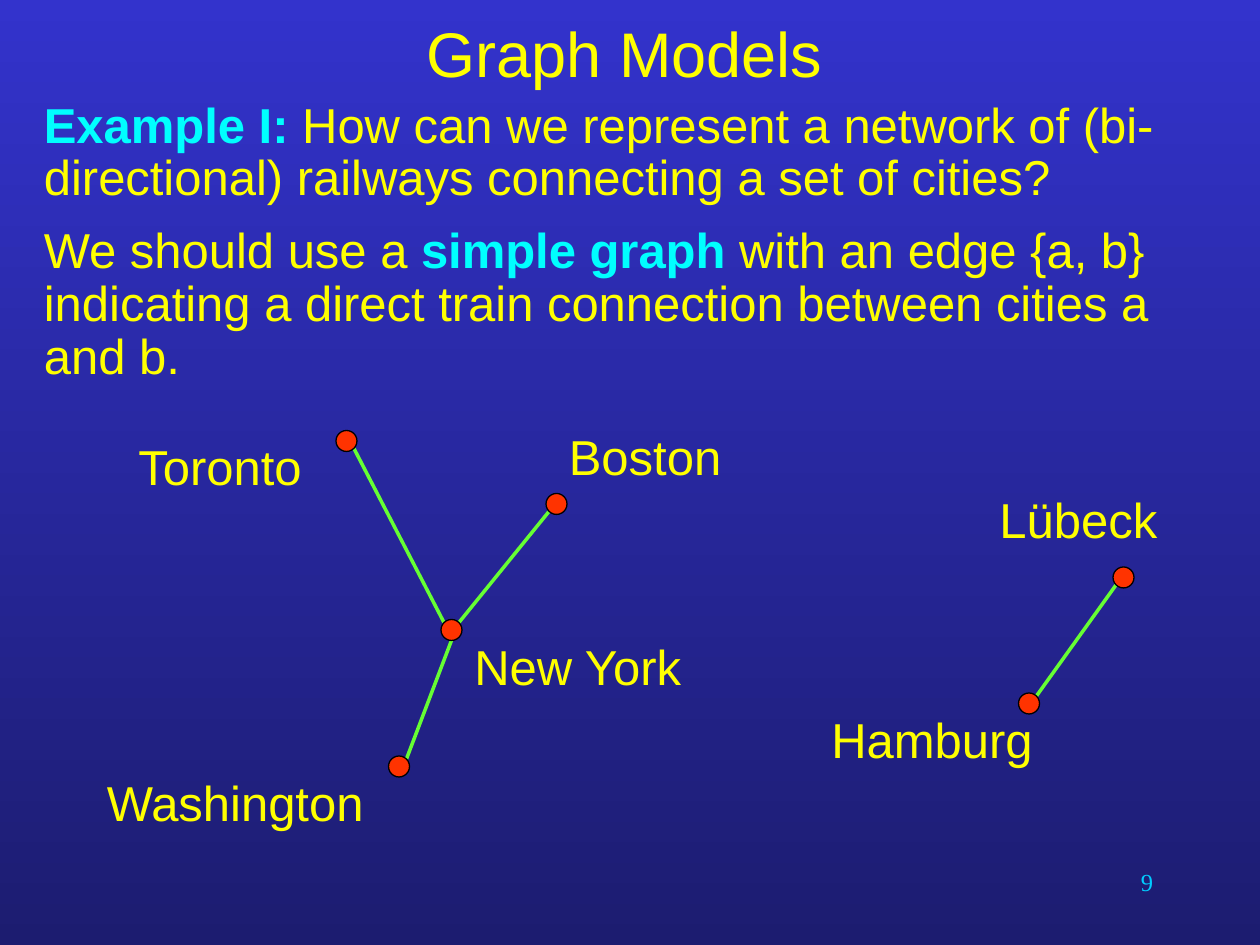
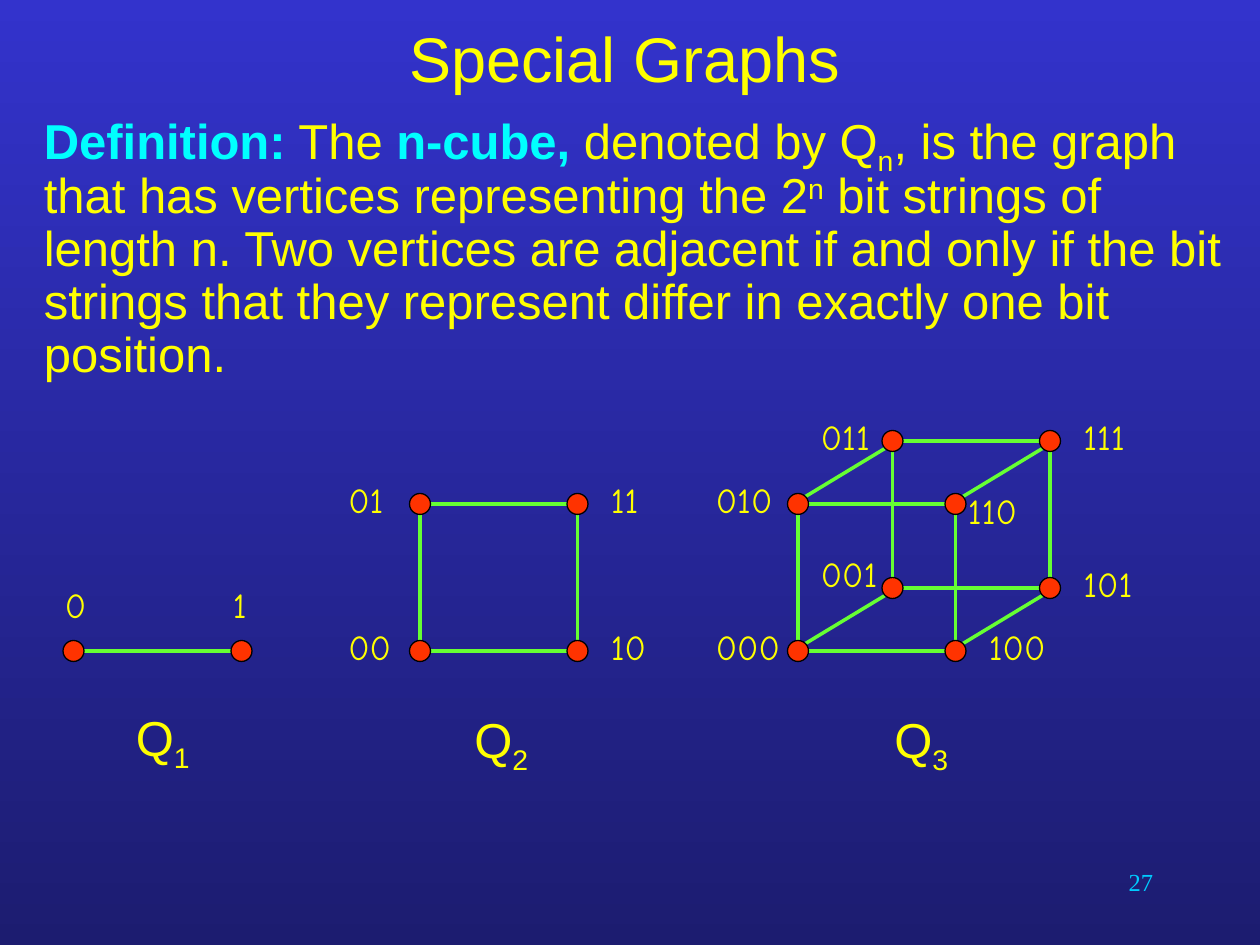
"""Build two slides on graph models: a railway network and the n-cubes."""
from dataclasses import dataclass
from itertools import combinations
from math import atan2, cos, pi, radians, sin

from lxml.etree import SubElement
from pptx import Presentation
from pptx.dml.color import RGBColor
from pptx.enum.shapes import MSO_CONNECTOR as Connector, MSO_SHAPE as Preset
from pptx.enum.text import MSO_ANCHOR as Anchor, PP_ALIGN as Align
from pptx.oxml.ns import qn
from pptx.util import Inches, Pt


@dataclass(frozen=True)
class Theme:
    sky: str = "3333CC"
    night: str = "1C1C70"
    text: str = "FFFF00"
    key: str = "00FFFF"
    number: str = "00CCFF"
    dot: str = "FF3300"
    outline: str = "000000"
    edge: str = "66FF33"
    font: str = "Arial"
    bit_font: str = "Comic Neue"
    number_font: str = "Times New Roman"
    title_size: float = 36
    body_size: float = 28
    bit_size: float = 20
    number_size: float = 14
    paragraph_gap: float = 11.2
    edge_width: float = 2
    outline_width: float = 0.75


THEME = Theme()
WIDTH, HEIGHT = Inches(10), Inches(7.5)
COLUMNS = 120
CELL = WIDTH / COLUMNS
RADIUS = 1
BASELINES = {"sub": "-25000", "super": "30000"}

SLIDES = [
    {
        "title": "Graph Models",
        "number": "9",
        "title_rows": 10,
        "body_row": 9,
        "body": [
            [("Example I: ", "key"),
             ("How can we represent a network of (bi-directional) railways "
              "connecting a set of cities?", "")],
            [("We should use a ", ""), ("simple graph", "key"),
             (" with an edge {a, b} indicating a direct train connection "
              "between cities a and b.", "")],
        ],
    },
    {
        "title": "Special Graphs",
        "number": "27",
        "title_rows": 11,
        "body_row": 10,
        "body": [
            [("Definition:", "key"), (" The ", ""), ("n-cube, ", "key"),
             ("denoted by Q", ""), ("n", "sub"),
             (", is the graph that has vertices representing the 2", ""),
             ("n", "super"),
             (" bit strings of length n. Two vertices are adjacent if and only "
              "if the bit strings that they represent differ in exactly one "
              "bit position.", "")],
        ],
    },
]

CITIES = {
    "Toronto": ((33, 42), (12, 41, 27)),
    "Boston": ((53, 48), (53, 40, 21)),
    "New York": ((43, 60), (44, 60, 25)),
    "Washington": ((38, 73), (9, 73, 38)),
    "Lübeck": ((107, 55), (94, 46, 26)),
    "Hamburg": ((98, 67), (78, 67, 24)),
}
RAILWAYS = [("Toronto", "New York"), ("New York", "Boston"),
            ("New York", "Washington"), ("Hamburg", "Lübeck")]
FIXED_ENDS = {("New York", "Washington"): (90, -45)}

LEFT_LABEL, RIGHT_LABEL = (-8, -3), (2, -3)
CUBES = [
    {"origin": (7, 62), "axes": [(16, 0)], "caption": (11.75, 66.75),
     "labels": {"0": (-2, -7), "1": (-2, -7)}},
    {"origin": (40, 62), "axes": [(15, 0), (0, -14)], "caption": (44, 67),
     "labels": {"00": LEFT_LABEL, "10": RIGHT_LABEL,
                "01": LEFT_LABEL, "11": RIGHT_LABEL}},
    {"origin": (76, 62), "axes": [(15, 0), (0, -14), (9, -6)], "caption": (84, 67),
     "labels": {"000": (-9, -3), "100": RIGHT_LABEL, "010": (-9, -3), "110": (0, -2),
                "001": (-8, -4), "101": RIGHT_LABEL,
                "011": LEFT_LABEL, "111": RIGHT_LABEL}},
]


def cells(*values):
    return [round(value * CELL) for value in values]


def color(value):
    return RGBColor.from_string(value)


def add_text(shapes, box, paragraphs, size=THEME.body_size, font=THEME.font,
             ink=THEME.text, align=Align.LEFT, anchor=Anchor.TOP):
    text_frame = shapes.add_textbox(*cells(*box)).text_frame
    text_frame.word_wrap = True
    text_frame.vertical_anchor = anchor
    for index, runs in enumerate(paragraphs):
        paragraph = text_frame.add_paragraph() if index else text_frame.paragraphs[0]
        paragraph.alignment = align
        for text, style in runs:
            run = paragraph.add_run()
            run.text = text
            run.font.size, run.font.name = Pt(size), font
            run.font.bold = style == "key"
            run.font.color.rgb = color(THEME.key if style == "key" else ink)
            if style in BASELINES:
                run._r.get_or_add_rPr().set("baseline", BASELINES[style])
    return text_frame


def add_dot(shapes, center):
    x, y = center
    dot = shapes.add_shape(Preset.FLOWCHART_CONNECTOR,
                           *cells(x - RADIUS, y - RADIUS, 2 * RADIUS, 2 * RADIUS))
    dot.shadow.inherit = False
    dot.fill.solid()
    dot.fill.fore_color.rgb = color(THEME.dot)
    dot.line.color.rgb = color(THEME.outline)
    dot.line.width = Pt(THEME.outline_width)


def rim_point(center, target, fixed_angle=None):
    """Return the rim point, on one of eight directions, that faces the target."""
    if fixed_angle is None:
        angle = atan2(target[1] - center[1], target[0] - center[0])
        angle = round(angle / (pi / 4)) * pi / 4
    else:
        angle = radians(fixed_angle)
    return center[0] + RADIUS * cos(angle), center[1] + RADIUS * sin(angle)


def add_edge(shapes, start, end, angles=(None, None)):
    ends = rim_point(start, end, angles[0]) + rim_point(end, start, angles[1])
    edge = shapes.add_connector(Connector.STRAIGHT, *cells(*ends))
    edge.line.color.rgb = color(THEME.edge)
    edge.line.width = Pt(THEME.edge_width)
    SubElement(edge._element.spPr, qn("a:effectLst"))


def add_base(presentation, content):
    slide = presentation.slides.add_slide(presentation.slide_layouts[6])
    fill = slide.background.fill
    fill.gradient()
    fill.gradient_angle = 270
    for stop, shade, position in zip(fill.gradient_stops, (THEME.sky, THEME.night), (0, 1)):
        stop.color.rgb, stop.position = color(shade), position
    add_text(slide.shapes, (86, 82, 25, 6), [[(content["number"], "")]],
             THEME.number_size, THEME.number_font, THEME.number, Align.RIGHT)
    add_text(slide.shapes, (3, 0, 113, content["title_rows"]), [[(content["title"], "")]],
             THEME.title_size, align=Align.CENTER, anchor=Anchor.MIDDLE)
    body = add_text(slide.shapes, (3, content["body_row"], 115, 29), content["body"])
    for paragraph in body.paragraphs:
        paragraph.line_spacing = 0.9
        paragraph.space_after = Pt(THEME.paragraph_gap)
    return slide


def draw_railways(slide):
    shapes = slide.shapes.add_group_shape().shapes
    for pair in RAILWAYS:
        start, end = (CITIES[city][0] for city in pair)
        add_edge(shapes, start, end, FIXED_ENDS.get(pair, (None, None)))
    for city, (center, (column, row, width)) in CITIES.items():
        add_dot(shapes, center)
        add_text(shapes, (column, row, width, 6.8), [[(city, "")]])


def draw_cube(slide, cube):
    shapes = slide.shapes.add_group_shape().shapes
    centers = {
        bits: tuple(cube["origin"][side] + sum(int(bit) * axis[side]
                    for bit, axis in zip(bits, cube["axes"])) for side in (0, 1))
        for bits in cube["labels"]
    }
    for first, second in combinations(centers, 2):
        if sum(a != b for a, b in zip(first, second)) == 1:
            add_edge(shapes, centers[first], centers[second])
    for bits, (x, y) in centers.items():
        shift_x, shift_y = cube["labels"][bits]
        add_dot(shapes, (x, y))
        add_text(shapes, (x + shift_x, y + shift_y, 9, 5.2), [[(bits, "")]],
                 THEME.bit_size, THEME.bit_font)
    add_text(slide.shapes, (*cube["caption"], 9, 6.8),
             [[("Q", ""), (str(len(cube["axes"])), "sub")]])


def main():
    presentation = Presentation()
    presentation.slide_width, presentation.slide_height = WIDTH, HEIGHT
    railway_slide, cube_slide = [add_base(presentation, content) for content in SLIDES]
    draw_railways(railway_slide)
    for cube in CUBES:
        draw_cube(cube_slide, cube)
    presentation.save("out.pptx")


main()
